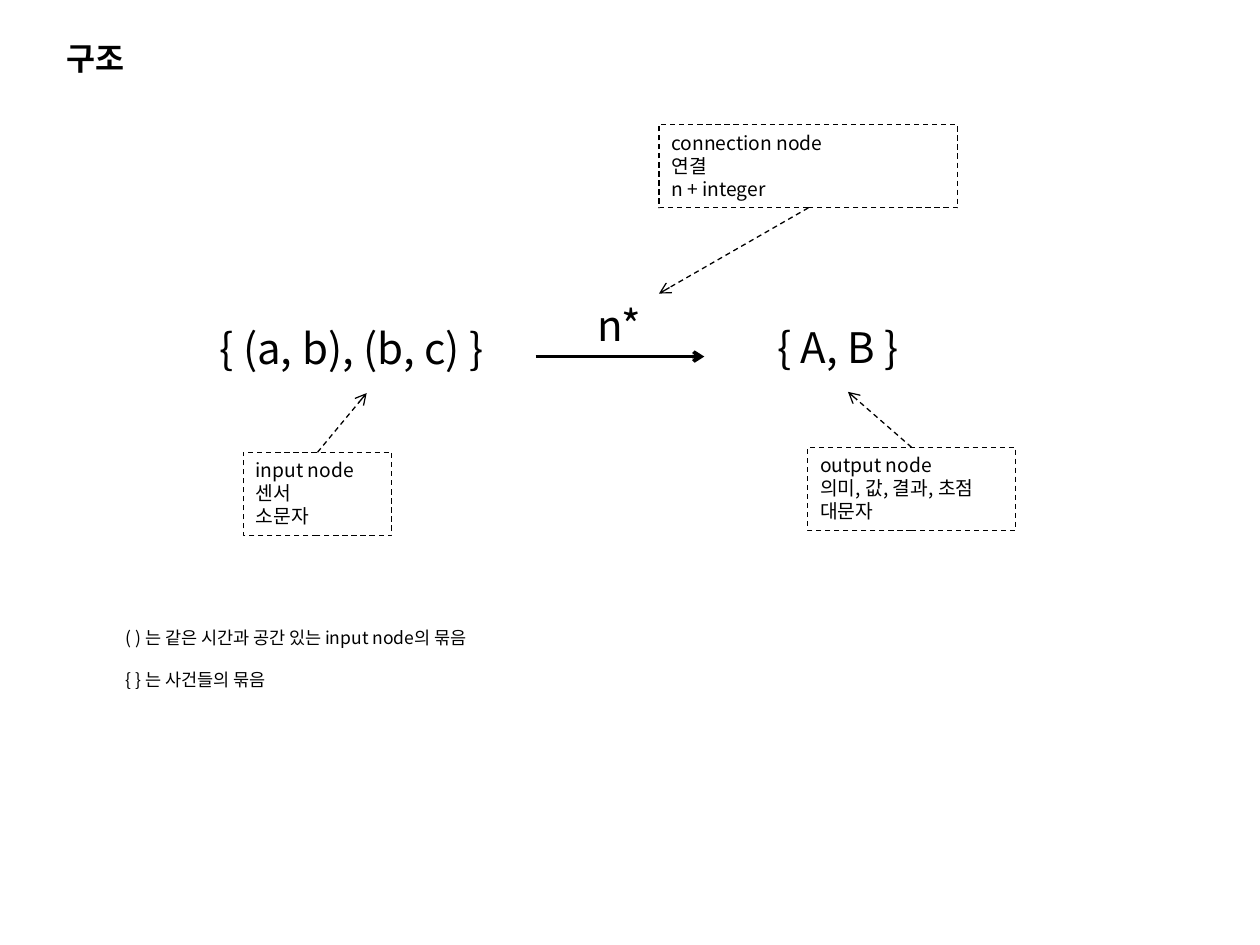
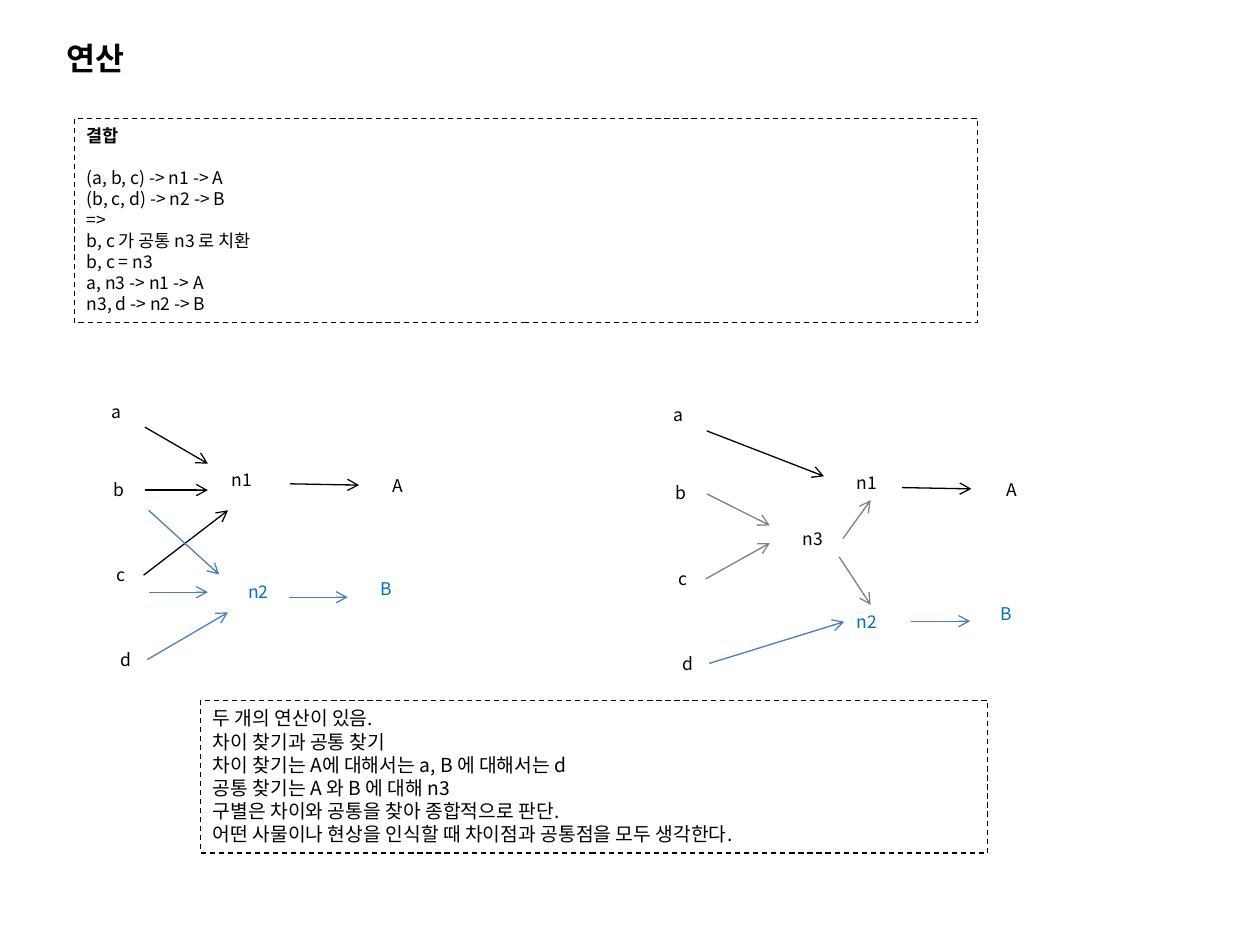
from dataclasses import dataclass
from typing import NamedTuple

from lxml.etree import SubElement
from pptx import Presentation
from pptx.dml.color import RGBColor
from pptx.enum.dml import MSO_LINE
from pptx.enum.shapes import MSO_CONNECTOR, MSO_SHAPE
from pptx.enum.text import MSO_ANCHOR, MSO_AUTO_SIZE, PP_ALIGN
from pptx.oxml.ns import qn
from pptx.shapes.base import BaseShape
from pptx.slide import Slide
from pptx.util import Inches, Pt

FONT = "Noto Sans CJK KR"
COLORS = {
    "ink": "000000",
    "blue_text": "0070C0",
    "blue_line": "4B7EBC",
    "gray": "808080",
}
COLUMNS, ROWS = 100, 75
CELL = Inches(10) // COLUMNS
LINE_HEIGHT = 1.2
TOP, LEFT, BOTTOM, RIGHT = range(4)
SIDE_SHARES = {TOP: (0.5, 0), LEFT: (0, 0.5), BOTTOM: (0.5, 1), RIGHT: (1, 0.5)}


class Point(NamedTuple):
    column: float
    row: float


class Joint(NamedTuple):
    label: str
    side: int


@dataclass(frozen=True)
class Label:
    key: str
    text: str
    column: float
    row: float
    columns: float = 4.2
    rows: float = 2.7
    size: float = 10
    color: str = "ink"
    centered: bool = False
    framed: bool = False
    bold_lines: int = 0


@dataclass(frozen=True)
class Arrow:
    start: Point | Joint
    end: Point | Joint
    color: str = "ink"
    width: float = 0.75
    dashed: bool = False


def cells(count: float) -> int:
    return round(count * CELL)


def rgb(color: str) -> RGBColor:
    return RGBColor.from_string(COLORS[color])


def write_text(
    shape: BaseShape,
    text: str,
    *,
    size: float,
    color: str = "ink",
    centered: bool = False,
    bold_lines: int = 0,
) -> None:
    frame = shape.text_frame
    frame.word_wrap = True
    frame.auto_size = MSO_AUTO_SIZE.SHAPE_TO_FIT_TEXT
    frame.vertical_anchor = MSO_ANCHOR.TOP
    paragraph = frame.paragraphs[0]
    gap = False
    for index, line in enumerate(text.split("\n")):
        if not line:
            gap = True
            continue
        if index:
            paragraph = frame.add_paragraph()
        if gap:
            paragraph.space_before = Pt(size * LINE_HEIGHT)
            gap = False
        paragraph.alignment = PP_ALIGN.CENTER if centered else PP_ALIGN.LEFT
        run = paragraph.add_run()
        run.text = line
        run.font.size = Pt(size)
        run.font.bold = index < bold_lines
        run.font.color.rgb = rgb(color)
        run.font.name = FONT


def draw_label(slide: Slide, label: Label) -> BaseShape:
    box = [cells(n) for n in (label.column, label.row, label.columns, label.rows)]
    if label.framed:
        shape = slide.shapes.add_shape(MSO_SHAPE.RECTANGLE, *box)
        shape.shadow.inherit = False
        shape.fill.background()
        shape.line.color.rgb = rgb("ink")
        shape.line.width = Pt(0.75)
        shape.line.dash_style = MSO_LINE.DASH
    else:
        shape = slide.shapes.add_textbox(*box)
    write_text(
        shape,
        label.text,
        size=label.size,
        color=label.color,
        centered=label.centered,
        bold_lines=label.bold_lines,
    )
    return shape


def locate(end: Point | Joint, shapes: dict[str, BaseShape]) -> tuple[int, int]:
    if isinstance(end, Point):
        return cells(end.column), cells(end.row)
    shape = shapes[end.label]
    across, down = SIDE_SHARES[end.side]
    return round(shape.left + across * shape.width), round(shape.top + down * shape.height)


def draw_arrow(slide: Slide, arrow: Arrow, shapes: dict[str, BaseShape]) -> None:
    ends = (arrow.start, arrow.end)
    places = [place for end in ends for place in locate(end, shapes)]
    connector = slide.shapes.add_connector(MSO_CONNECTOR.STRAIGHT, *places)
    for end, connect in zip(ends, (connector.begin_connect, connector.end_connect)):
        if isinstance(end, Joint):
            connect(shapes[end.label], end.side)
    connector.line.color.rgb = rgb(arrow.color)
    connector.line.width = Pt(arrow.width)
    if arrow.dashed:
        connector.line.dash_style = MSO_LINE.DASH
    properties = connector._element.spPr
    SubElement(properties.find(qn("a:ln")), qn("a:tailEnd"), type="arrow")
    SubElement(properties, qn("a:effectLst"))


def build_slide(
    presentation: Presentation, title: str, labels: list[Label], arrows: list[Arrow]
) -> None:
    slide = presentation.slides.add_slide(presentation.slide_layouts[6])
    heading = Label("title", title, 4.3, 2.6, 30.7, 4, size=18, bold_lines=1)
    shapes = {label.key: draw_label(slide, label) for label in [heading, *labels]}
    for arrow in arrows:
        draw_arrow(slide, arrow, shapes)


def formula(key: str, text: str, column: float, row: float, columns: float) -> Label:
    return Label(key, text, column, row, columns, 5, size=24, centered=True)


def callout(
    key: str, text: str, column: float, row: float, columns: float, rows: float = 6.6
) -> Label:
    return Label(key, text, column, row, columns, rows, size=11, framed=True)


def input_labels(prefix: str, column: float, row: float) -> list[Label]:
    steps = {"a": (0, 0), "b": (0.1, 6.2), "c": (0.4, 13), "d": (0.7, 19.7)}
    return [
        Label(prefix + text, text, column + right, row + down, 3.1)
        for text, (right, down) in steps.items()
    ]


STRUCTURE_LABELS = [
    formula("inputs", "{ (a, b), (b, c) }", 16.1, 25.1, 23.6),
    formula("outputs", "{ A, B }", 60.6, 25, 11.8),
    formula("connection", "n*", 45.2, 23.3, 7.9),
    callout("input node", "input node\n센서\n소문자", 19.3, 35.9, 11.8),
    callout("output node", "output node\n의미, 값, 결과, 초점\n대문자", 64.1, 35.5, 16.5),
    callout("connection node", "connection node\n연결\nn + integer", 52.3, 9.9, 23.7),
    Label(
        "notation",
        "( ) 는 같은 시간과 공간 있는 input node의 묶음\n\n{ } 는 사건들의 묶음",
        9, 49.3, 80.4, 6.1,
    ),
]
STRUCTURE_ARROWS = [
    Arrow(Point(42.5, 28.3), Point(55.9, 28.3), width=2),
    Arrow(Joint("input node", TOP), Point(29.1, 31.2), dashed=True),
    Arrow(Joint("output node", TOP), Point(67.3, 31.1), dashed=True),
    Arrow(Joint("connection node", BOTTOM), Point(52.3, 23.3), dashed=True),
]

COMBINATION = """결합

(a, b, c) -> n1 -> A
(b, c, d) -> n2 -> B
=>
b, c 가 공통 n3 로 치환
b, c = n3
a, n3 -> n1 -> A
n3, d -> n2 -> B"""
CONCLUSION = """두 개의 연산이 있음.
차이 찾기과 공통 찾기
차이 찾기는 A에 대해서는 a, B 에 대해서는 d
공통 찾기는 A 와 B 에 대해 n3
구별은 차이와 공통을 찾아 종합적으로 판단.
어떤 사물이나 현상을 인식할 때 차이점과 공통점을 모두 생각한다."""

OPERATION_LABELS = [
    Label("combination", COMBINATION, 5.9, 9.4, 71.7, 16.2, framed=True, bold_lines=1),
    *input_labels("before ", 7.9, 31.3),
    Label("before n1", "n1", 17.4, 36.7),
    Label("before A", "A", 30.2, 37.2, 5.9),
    Label("before n2", "n2", 18.7, 45.6, color="blue_text"),
    Label("before B", "B", 29.2, 45.4, color="blue_text"),
    *input_labels("after ", 52.5, 31.6),
    Label("after n1", "n1", 67, 37),
    Label("after A", "A", 78.9, 37.5, 5.9),
    Label("after n2", "n2", 67, 48, color="blue_text"),
    Label("after B", "B", 78.4, 47.4, color="blue_text"),
    Label("after n3", "n3", 62.7, 41.4),
    callout("conclusion", CONCLUSION, 15.9, 55.6, 62.5, 12.1),
]
OPERATION_ARROWS = [
    Arrow(Point(11.5, 33.9), Point(16.5, 36.8)),
    Arrow(Point(11.5, 38.9), Point(16.5, 38.9)),
    Arrow(Joint("before c", RIGHT), Point(18.1, 40.5)),
    Arrow(Point(23, 38.4), Point(28.5, 38.5)),
    Arrow(Point(11.8, 40.5), Point(17.4, 45.6), "blue_line"),
    Arrow(Point(11.8, 47), Point(16.5, 47), "blue_line"),
    Arrow(Joint("before d", RIGHT), Point(18.1, 48.6), "blue_line"),
    Arrow(Point(22.9, 47.4), Point(27.6, 47.4), "blue_line"),
    Arrow(Point(56.1, 34.2), Point(65.4, 37.8)),
    Arrow(Point(71.6, 38.7), Point(77.1, 38.8)),
    Arrow(Point(56.1, 39.2), Point(61.1, 41.7), "gray"),
    Arrow(Joint("after c", RIGHT), Point(61.1, 43.1), "gray"),
    Arrow(Joint("after n3", RIGHT), Joint("after n1", BOTTOM), "gray"),
    Arrow(Point(66.6, 44.2), Joint("after n2", TOP), "gray"),
    Arrow(Joint("after d", RIGHT), Joint("after n2", LEFT), "blue_line"),
    Arrow(Point(72.3, 49.3), Point(77, 49.3), "blue_line"),
]


def main() -> None:
    presentation = Presentation()
    presentation.slide_width = cells(COLUMNS)
    presentation.slide_height = cells(ROWS)
    build_slide(presentation, "구조", STRUCTURE_LABELS, STRUCTURE_ARROWS)
    build_slide(presentation, "연산", OPERATION_LABELS, OPERATION_ARROWS)
    presentation.save("out.pptx")


if __name__ == "__main__":
    main()
